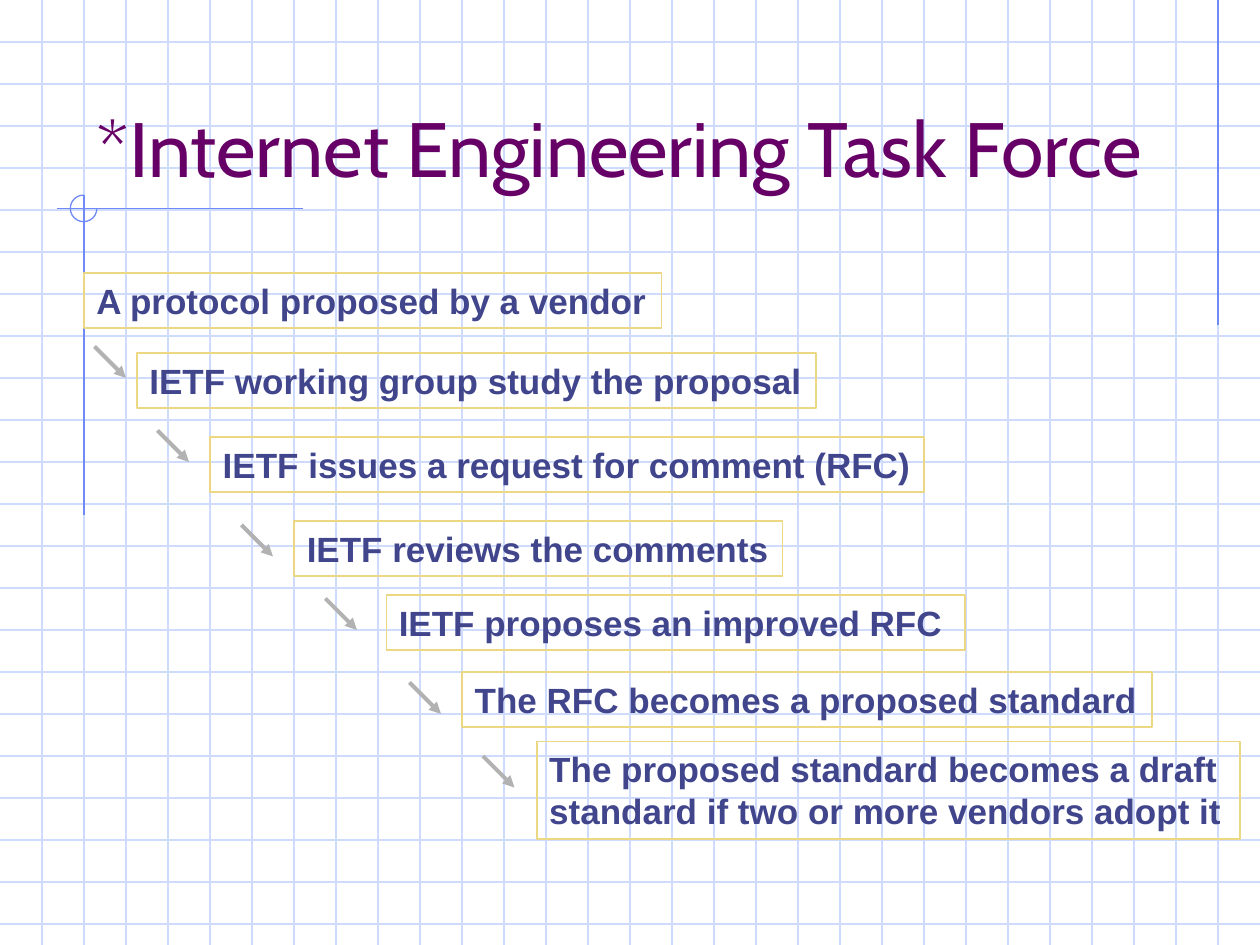
"""Builds the slide on how a proposal becomes a standard at the Internet Engineering Task Force."""
from lxml.etree import SubElement
from pptx import Presentation
from pptx.dml.color import RGBColor
from pptx.enum.shapes import MSO_CONNECTOR, MSO_SHAPE
from pptx.enum.text import MSO_ANCHOR, MSO_AUTO_SIZE, PP_ALIGN
from pptx.oxml.ns import qn
from pptx.util import Pt

GRID_BLUE = RGBColor(0xCF, 0xDB, 0xFD)
ACCENT_BLUE = RGBColor(0x6F, 0x89, 0xF7)
TITLE_PURPLE = RGBColor(0x66, 0x00, 0x66)
STEP_BLUE = RGBColor(0x40, 0x45, 0x8C)
STEP_BORDER = RGBColor(0xEC, 0xD8, 0x82)
ARROW_GRAY = RGBColor(0xB2, 0xB2, 0xB2)

WIDTH, HEIGHT, GRID_STEP = 720, 540, 24


def write_text(shape, text, font="Arial", size=20, color=STEP_BLUE, bold=False, anchor=MSO_ANCHOR.TOP,
               wrap=True, auto_size=MSO_AUTO_SIZE.NONE):
    frame = shape.text_frame
    frame.text = text
    frame.word_wrap = wrap
    frame.auto_size = auto_size
    frame.vertical_anchor = anchor
    for paragraph in frame.paragraphs:
        paragraph.alignment = PP_ALIGN.LEFT
        paragraph.font.name = font
        paragraph.font.size = Pt(size)
        paragraph.font.bold = bold
        paragraph.font.color.rgb = color


def add_line(start, end, color, weight=0.75, arrow=False):
    connector = slide.shapes.add_connector(
        MSO_CONNECTOR.STRAIGHT, *[Pt(value) for value in (*start, *end)])
    connector.line.color.rgb = color
    connector.line.width = Pt(weight)
    if arrow:
        SubElement(connector.line._get_or_add_ln(), qn("a:tailEnd"), type="triangle")
    SubElement(connector._element.spPr, qn("a:effectLst"))


presentation = Presentation()
presentation.slide_width, presentation.slide_height = Pt(WIDTH), Pt(HEIGHT)
slide = presentation.slides.add_slide(presentation.slide_layouts[5])

for y in range(GRID_STEP, HEIGHT, GRID_STEP):
    add_line((0, y), (WIDTH, y), GRID_BLUE)
for x in range(GRID_STEP, WIDTH, GRID_STEP):
    add_line((x, 0), (x, HEIGHT), GRID_BLUE)

add_line((696, 0), (696, 186), ACCENT_BLUE)
add_line((173, 119.3), (32.5, 119.3), ACCENT_BLUE)
add_line((48, 111.5), (48, 294.5), ACCENT_BLUE)
ring = slide.shapes.add_shape(MSO_SHAPE.ARC, Pt(40.2), Pt(111.5), Pt(15.2), Pt(15.2))
ring.adjustments[0], ring.adjustments[1] = 0, 162
ring.shadow.inherit = False
ring.fill.background()
ring.line.color.rgb = ACCENT_BLUE
ring.line.width = Pt(0.75)

title = slide.shapes.title
title.left, title.top, title.width, title.height = Pt(48), Pt(24), Pt(612), Pt(90)
write_text(title, "*Internet Engineering Task Force", font="Cabin", size=44,
           color=TITLE_PURPLE, anchor=MSO_ANCHOR.BOTTOM)
slide.shapes._spTree.append(title._element)

steps = [
    ("A protocol proposed by a vendor", 48, 156, 330, 31.5),
    ("IETF working group study the proposal", 78.3, 201.6, 388, 31.5),
    ("IETF issues a request for comment (RFC)", 120.2, 249.7, 408, 31.5),
    ("IETF reviews the comments", 168.2, 297.8, 279, 31.5),
    ("IETF proposes an improved RFC", 220.8, 340, 330.5, 31.5),
    ("The RFC becomes a proposed standard", 264.2, 384, 394, 31.5),
    ("The proposed standard becomes a draft\nstandard if two or more vendors adopt it", 306.8, 423.8, 402, 55.5),
]
for text, left, top, width, height in steps:
    box = slide.shapes.add_shape(MSO_SHAPE.RECTANGLE, Pt(left), Pt(top), Pt(width), Pt(height))
    box.shadow.inherit = False
    box.fill.background()
    box.line.color.rgb = STEP_BORDER
    box.line.width = Pt(1)
    write_text(box, text, bold=True, wrap=False, auto_size=MSO_AUTO_SIZE.SHAPE_TO_FIT_TEXT)

for x, y in [(54, 198), (90, 246), (138, 300), (186, 342), (234, 390), (276, 432)]:
    add_line((x, y), (x + 18, y + 18), ARROW_GRAY, weight=2.25, arrow=True)

presentation.save("out.pptx")
